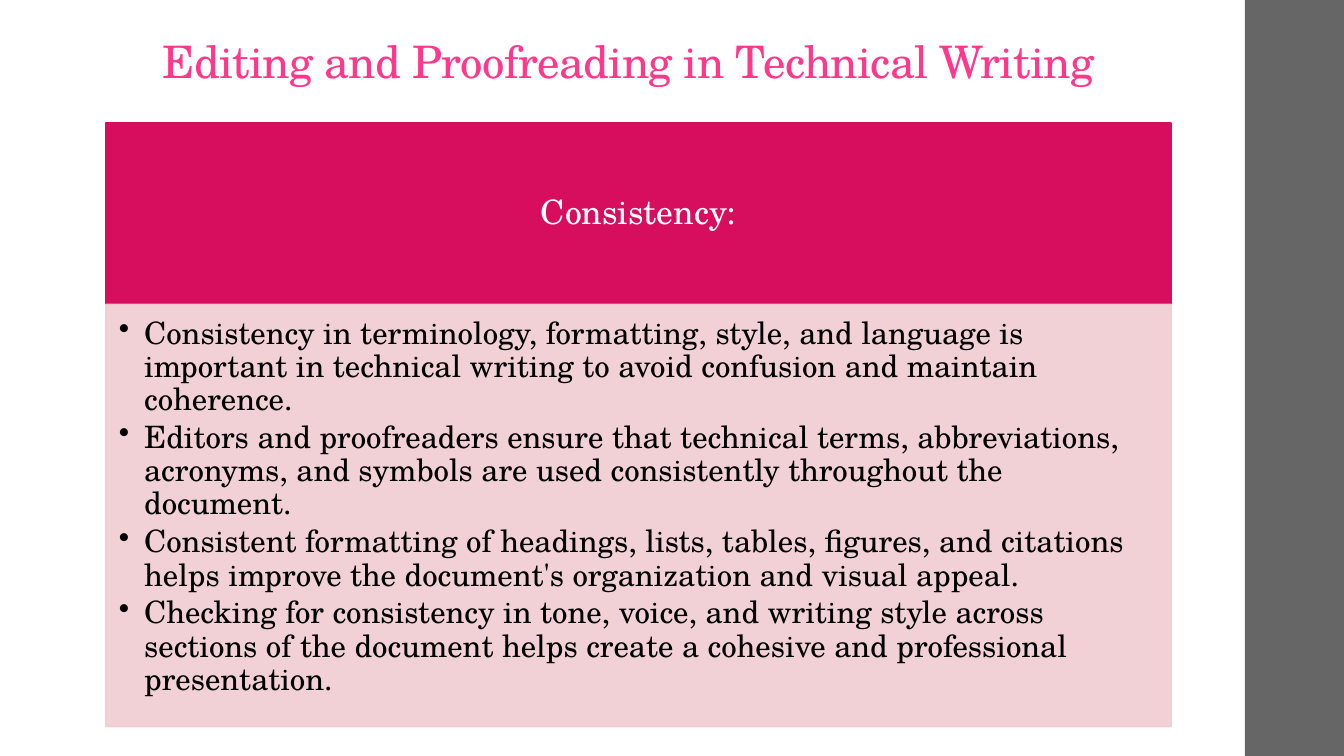
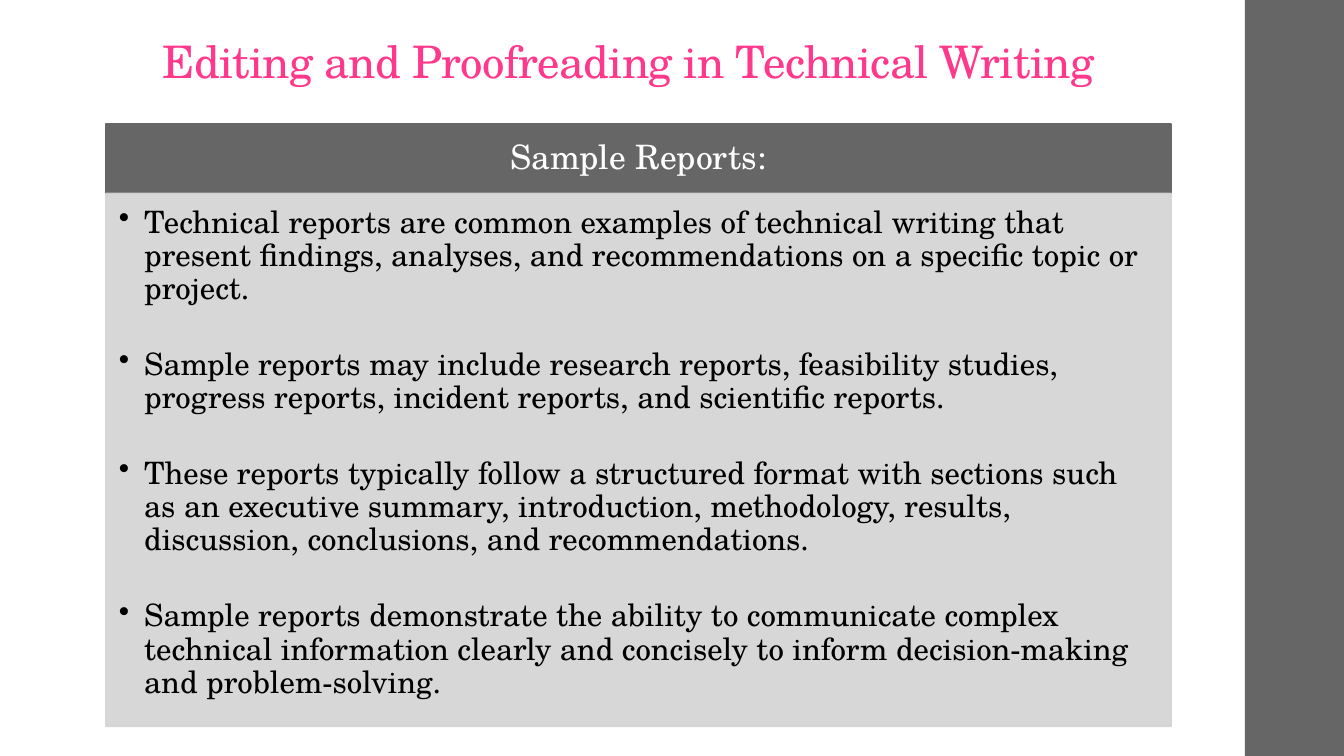
from dataclasses import dataclass

from lxml.etree import SubElement
from pptx import Presentation
from pptx.dml.color import RGBColor
from pptx.enum.shapes import MSO_SHAPE
from pptx.enum.text import MSO_ANCHOR, PP_ALIGN
from pptx.oxml.ns import qn
from pptx.util import Pt


@dataclass(frozen=True)
class Theme:
    font: str = "TeX Gyre Schola"
    title_color: str = "FF388C"
    band_color: str = "666666"
    heading_color: str = "FFFFFF"
    body_color: str = "000000"
    title_size: float = 32
    heading_size: float = 24
    body_size: float = 22
    line_spacing: float = 0.9
    border: float = 1.1
    bullet_indent: float = 18
    body_opacity: int = 90


@dataclass(frozen=True)
class Box:
    left: float
    top: float
    width: float
    height: float

    def lengths(self):
        return Pt(self.left), Pt(self.top), Pt(self.width), Pt(self.height)


THEME = Theme()
SLIDE_WIDTH, SLIDE_HEIGHT = 960, 540
BAND = Box(889.2, 0, SLIDE_WIDTH - 889.2, SLIDE_HEIGHT)
TITLE = Box(68.4, 20.2, 761, 46)
TITLE_TEXT = "Editing and Proofreading in Technical Writing"

TOPICS = [
    {
        "box": Box(75.6, 87.8, 761, 431.2),
        "heading": "Consistency:",
        "heading_height": 129.6,
        "heading_fill": "D70D5E",
        "body_fill": "F0CCD2",
        "gap": 3.3,
        "points": [
            "Consistency in terminology, formatting, style, and language is important in "
            "technical writing to avoid confusion and maintain coherence.",
            "Editors and proofreaders ensure that technical terms, abbreviations, acronyms, "
            "and symbols are used consistently throughout the document.",
            "Consistent formatting of headings, lists, tables, figures, and citations helps "
            "improve the document's organization and visual appeal.",
            "Checking for consistency in tone, voice, and writing style across sections of "
            "the document helps create a cohesive and professional presentation.",
        ],
    },
    {
        "box": Box(75.6, 88.4, 761, 430.4),
        "heading": "Sample Reports:",
        "heading_height": 49.7,
        "heading_fill": THEME.band_color,
        "body_fill": "D3D3D3",
        "gap": 30.4,
        "points": [
            "Technical reports are common examples of technical writing that present "
            "findings, analyses, and recommendations on a specific topic or project.",
            "Sample reports may include research reports, feasibility studies, progress "
            "reports, incident reports, and scientific reports.",
            "These reports typically follow a structured format with sections such as an "
            "executive summary, introduction, methodology, results, discussion, "
            "conclusions, and recommendations.",
            "Sample reports demonstrate the ability to communicate complex technical "
            "information clearly and concisely to inform decision-making and "
            "problem-solving.",
        ],
    },
]


def add_panel(slide, box, color, bordered=True, opacity=100):
    panel = slide.shapes.add_shape(MSO_SHAPE.RECTANGLE, *box.lengths())
    panel.shadow.inherit = False
    panel.fill.solid()
    panel.fill.fore_color.rgb = RGBColor.from_string(color)
    if bordered:
        panel.line.width = Pt(THEME.border)
        panel.line.color.rgb = RGBColor.from_string(color)
    else:
        panel.line.fill.background()
    if opacity < 100:
        for paint in panel.fill, panel.line.fill:
            set_opacity(panel, opacity)
            break
    return panel


def set_opacity(panel, percent):
    """Apply one opacity to both the fill and the border."""
    for color in panel.element.spPr.iter(qn("a:srgbClr")):
        SubElement(color, qn("a:alpha")).set("val", str(percent * 1000))


def set_frame(frame, anchor, left, top, right, bottom):
    frame.word_wrap = True
    frame.vertical_anchor = anchor
    frame.margin_left, frame.margin_top = Pt(left), Pt(top)
    frame.margin_right, frame.margin_bottom = Pt(right), Pt(bottom)


def write(paragraph, text, size, color, align):
    paragraph.alignment = align
    paragraph.line_spacing = THEME.line_spacing
    run = paragraph.add_run()
    run.text = text
    run.font.name = THEME.font
    run.font.size = Pt(size)
    run.font.color.rgb = RGBColor.from_string(color)
    return run


def add_bullet(paragraph):
    properties = paragraph._p.get_or_add_pPr()
    properties.set("marL", str(Pt(THEME.bullet_indent)))
    properties.set("indent", str(-Pt(THEME.bullet_indent)))
    SubElement(properties, qn("a:buChar")).set("char", "•")


def add_title(slide, box, text):
    frame = slide.shapes.add_textbox(*box.lengths()).text_frame
    set_frame(frame, MSO_ANCHOR.BOTTOM, 7.2, 2.2, 7.2, 3.6)
    run = write(frame.paragraphs[0], text, THEME.title_size, THEME.title_color,
                PP_ALIGN.CENTER)
    run.font._element.set("spc", "-50")


def add_heading(slide, box, text, fill):
    frame = add_panel(slide, box, fill).text_frame
    set_frame(frame, MSO_ANCHOR.MIDDLE, 13.7, 7.9, 13.7, 7.9)
    write(frame.paragraphs[0], text, THEME.heading_size, THEME.heading_color,
          PP_ALIGN.CENTER)


def add_points(slide, box, points, fill, gap):
    frame = add_panel(slide, box, fill, opacity=THEME.body_opacity).text_frame
    set_frame(frame, MSO_ANCHOR.TOP, 9.4, 9.4, 12.2, 13.7)
    for index, point in enumerate(points):
        paragraph = frame.add_paragraph() if index else frame.paragraphs[0]
        add_bullet(paragraph)
        if index:
            paragraph.space_before = Pt(gap)
        write(paragraph, point, THEME.body_size, THEME.body_color, PP_ALIGN.LEFT)


def add_topic_slide(deck, topic):
    slide = deck.slides.add_slide(deck.slide_layouts[6])
    add_panel(slide, BAND, THEME.band_color, bordered=False)
    add_title(slide, TITLE, TITLE_TEXT)
    box, split = topic["box"], topic["heading_height"]
    add_heading(slide, Box(box.left, box.top, box.width, split),
                topic["heading"], topic["heading_fill"])
    add_points(slide, Box(box.left, box.top + split, box.width, box.height - split),
               topic["points"], topic["body_fill"], topic["gap"])


def main():
    deck = Presentation()
    deck.slide_width, deck.slide_height = Pt(SLIDE_WIDTH), Pt(SLIDE_HEIGHT)
    for topic in TOPICS:
        add_topic_slide(deck, topic)
    deck.save("out.pptx")


if __name__ == "__main__":
    main()
